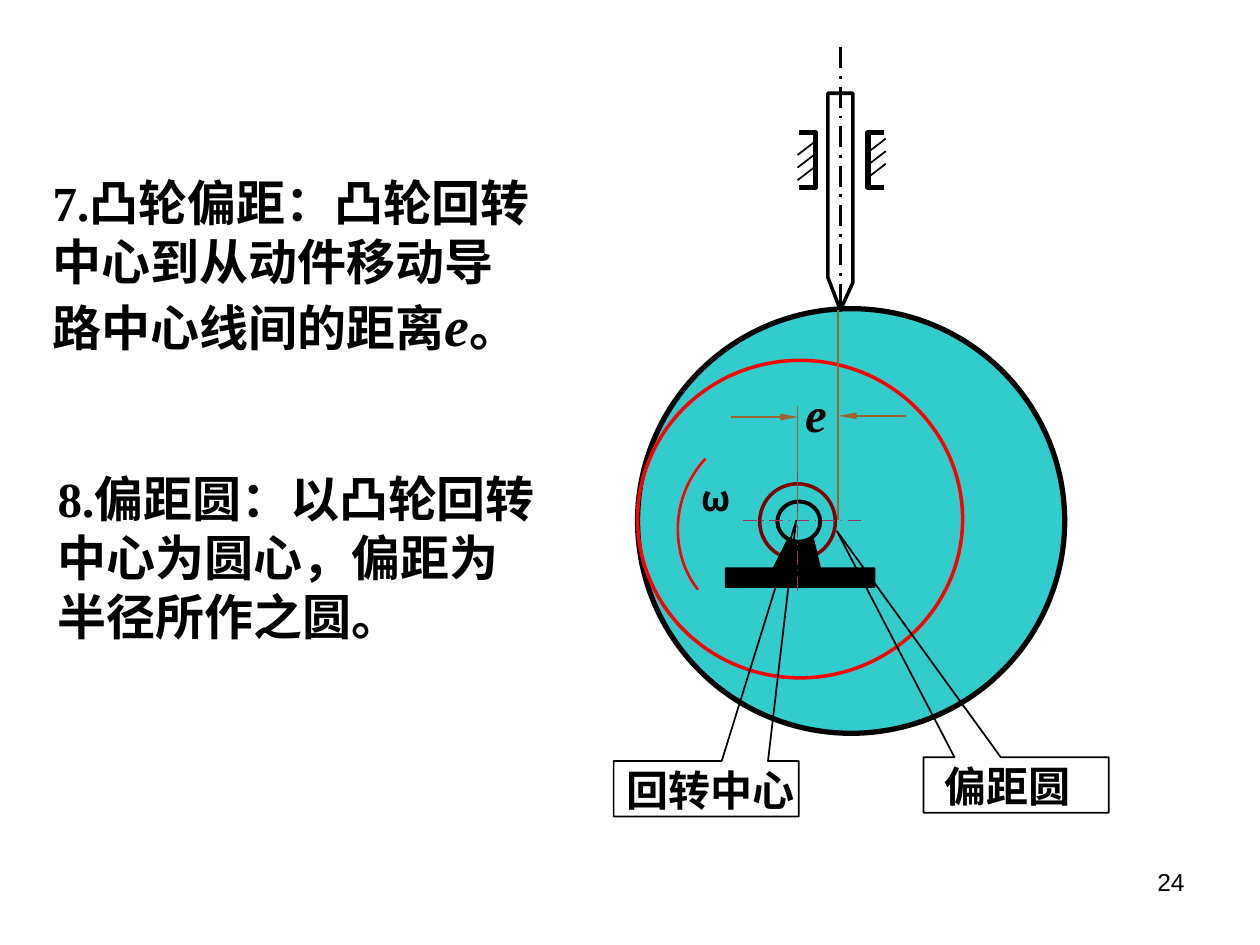
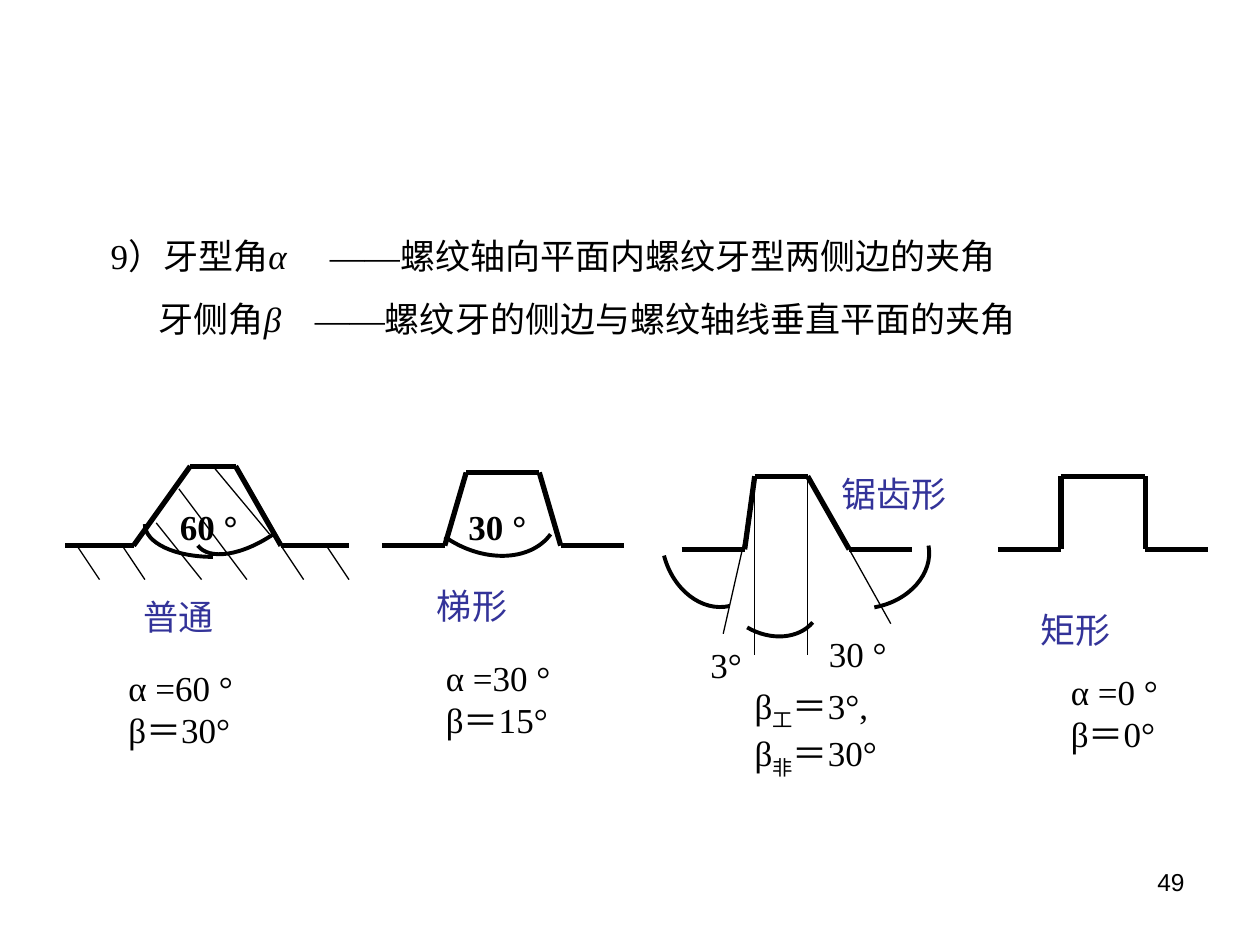
import copy
import dataclasses
import itertools

import lxml.etree
import pptx
import pptx.dml.color
import pptx.enum.dml
import pptx.enum.shapes
import pptx.enum.text
import pptx.oxml.ns
import pptx.util

Inches = pptx.util.Inches
Pt = pptx.util.Pt
Shape = pptx.enum.shapes.MSO_SHAPE
Align = pptx.enum.text.PP_ALIGN
qn = pptx.oxml.ns.qn


@dataclasses.dataclass(frozen=True)
class Theme:
    ink: str = "000000"
    white: str = "FFFFFF"
    cam: str = "33CCCC"
    red: str = "FF0000"
    maroon: str = "800000"
    dimension: str = "996633"
    axis: str = "993366"
    caption: str = "333399"
    serif: str = "Times New Roman"
    sans: str = "Arial"
    chinese: str = "Noto Sans CJK SC"
    body: int = 20
    label: int = 24
    heading: int = 28
    symbol: int = 32
    footer: int = 14
    hairline: float = 0.75
    thin: float = 1
    medium: float = 2
    arc: float = 2.25
    thick: float = 3


class Drawing:
    def __init__(self, deck, theme):
        self.deck = deck
        self.theme = theme
        self.page = None

    def new_page(self, number):
        self.page = self.deck.slides.add_slide(self.deck.slide_layouts[6])
        self.text(7.17, 6.83, 2.33, 0.52, number, size=self.theme.footer,
                  font=self.theme.sans, align=Align.RIGHT)

    def color(self, value):
        return pptx.dml.color.RGBColor.from_string(value)

    def style_line(self, line, color, width, dashed=False):
        line.color.rgb = self.color(color)
        line.width = Pt(width)
        if dashed:
            line.dash_style = pptx.enum.dml.MSO_LINE.LONG_DASH_DOT

    def style_shape(self, shape, fill, color, width):
        shape.shadow.inherit = False
        if fill:
            shape.fill.solid()
            shape.fill.fore_color.rgb = self.color(fill)
        else:
            shape.fill.background()
        self.style_line(shape.line, color, width)

    def format_run(self, span, size, font, color, bold, italic=False, baseline=0):
        span.font.size = Pt(size)
        span.font.name = font
        span.font.bold = bold
        span.font.italic = italic
        span.font.color.rgb = self.color(color)
        properties = span.font._element
        east_asian = lxml.etree.Element(qn("a:ea"), typeface=self.theme.chinese)
        properties.find(qn("a:latin")).addnext(east_asian)
        if baseline:
            properties.set("baseline", str(baseline))

    def text(self, left, top, width, height, *paras, size=None, font=None,
             color=None, bold=False, align=Align.LEFT, inset=True,
             italic=False, tabs=(), line_spacing=None, gap=0):
        box = self.page.shapes.add_textbox(
            Inches(left), Inches(top), Inches(width), Inches(height))
        frame = box.text_frame
        frame.word_wrap = inset
        if not inset:
            frame.auto_size = pptx.enum.text.MSO_AUTO_SIZE.SHAPE_TO_FIT_TEXT
            frame.margin_left = frame.margin_right = 0
            frame.margin_top = frame.margin_bottom = 0
        base = dict(size=size or self.theme.body, font=font or self.theme.serif,
                    color=color or self.theme.ink, bold=bold, italic=italic)
        for index, spans in enumerate(paras):
            para = frame.add_paragraph() if index else frame.paragraphs[0]
            para.alignment = align
            if tabs:
                stops = lxml.etree.SubElement(
                    para._p.get_or_add_pPr(), qn("a:tabLst"))
                for stop in tabs[index]:
                    lxml.etree.SubElement(stops, qn("a:tab"),
                                          pos=str(Inches(stop)), algn="l")
            if line_spacing:
                para.line_spacing = line_spacing
            if index and gap:
                para.space_before = Pt(gap)
            if isinstance(spans, str):
                spans = [(spans, {})]
            for words, changes in spans:
                span = para.add_run()
                span.text = words
                self.format_run(span, **{**base, **changes})

    def line(self, start, end, color=None, width=None, dashed=False, arrow=False):
        connector = self.page.shapes.add_connector(
            pptx.enum.shapes.MSO_CONNECTOR.STRAIGHT,
            *map(Inches, (*start, *end)))
        self.style_line(connector.line, color or self.theme.ink,
                        width or self.theme.thin, dashed)
        if arrow:
            lxml.etree.SubElement(connector.line._get_or_add_ln(), qn("a:tailEnd"),
                                  type="triangle", w="sm", len="lg")
        lxml.etree.SubElement(connector._element.spPr, qn("a:effectLst"))

    def chain(self, *points):
        for start, end in itertools.pairwise(points):
            self.line(start, end, width=self.theme.thick)

    def hatch(self, *strokes):
        for x1, y1, x2, y2 in strokes:
            self.line((x1, y1), (x2, y2), width=self.theme.hairline)

    def shape(self, kind, left, top, width, height, fill=None, color=None,
              weight=None):
        shape = self.page.shapes.add_shape(
            kind, Inches(left), Inches(top), Inches(width), Inches(height))
        self.style_shape(shape, fill, color or self.theme.ink,
                         weight or self.theme.thin)
        return shape

    def outline(self, points, closed=False, fill=None, color=None, weight=None):
        corners = [(Inches(x), Inches(y)) for x, y in points]
        builder = self.page.shapes.build_freeform(*corners[0])
        builder.add_line_segments(corners[1:], close=closed)
        shape = builder.convert_to_shape()
        self.style_shape(shape, fill, color or self.theme.ink,
                         weight or self.theme.thin)
        return shape

    def arc(self, *points, color=None, weight=None):
        shape = self.outline(points, True, color=color,
                             weight=weight or self.theme.arc)
        sector = next(shape._element.iter(qn("a:path")))
        segments = sector.findall(qn("a:lnTo"))
        for first in range(0, len(segments) - 1, 3):
            bend = lxml.etree.Element(qn("a:cubicBezTo"))
            segments[first].addprevious(bend)
            for segment in segments[first:first + 3]:
                bend.append(segment[0])
                sector.remove(segment)
        stroke = copy.deepcopy(sector)
        for tag in ("a:lnTo", "a:close"):
            stroke.remove(stroke.find(qn(tag)))
        stroke.set("fill", "none")
        sector.set("stroke", "0")
        sector.addprevious(stroke)

    def callout(self, left, top, words, text_left, text_width, pointer):
        self.text(text_left, top - 0.02, text_width, 0.5, words,
                  size=self.theme.label, bold=True)
        wedge = self.shape(Shape.RECTANGULAR_CALLOUT, left, top, 1.47, 0.44)
        wedge.rotation = 180
        wedge.adjustments[0], wedge.adjustments[1] = pointer


def draw_cam(drawing):
    theme = drawing.theme
    drawing.new_page("24")
    drawing.text(0.32, 1.32, 4.01, 1.57, [
        ("7.凸轮偏距：凸轮回转中心到从动件移动导路中心线间的距离", {}),
        ("e", {"size": theme.symbol, "italic": True}),
        ("。", {})], size=theme.heading, bold=True)
    drawing.text(0.36, 3.67, 4.02, 1.5,
                 "8.偏距圆：以凸轮回转中心为圆心，偏距为半径所作之圆。",
                 size=theme.heading, bold=True)

    drawing.shape(Shape.OVAL, 5.06, 2.45, 3.39, 3.37, theme.cam, weight=theme.thick)
    drawing.outline([(6.67, 2.46), (6.57, 2.2), (6.57, 0.74), (6.77, 0.74),
                     (6.77, 2.24)], True, theme.white, weight=theme.medium)
    drawing.shape(Shape.OVAL, 5.06, 2.86, 2.58, 2.52, color=theme.red,
                  weight=theme.medium)
    drawing.shape(Shape.OVAL, 6.03, 3.84, 0.6, 0.6, color=theme.maroon,
                  weight=theme.medium)
    drawing.shape(Shape.OVAL, 6.17, 3.98, 0.34, 0.32, weight=theme.arc)
    drawing.outline([(6.51, 4.51), (6.94, 4.51), (6.94, 4.66), (5.76, 4.66),
                     (5.76, 4.51), (6.14, 4.51), (6.25, 4.29), (6.37, 4.3),
                     (6.45, 4.26)], True, theme.ink)

    drawing.line((6.65, 2.46), (6.65, 4.13), theme.dimension)
    drawing.arc((5.54, 4.68), (5.43, 4.54), (5.38, 4.37), (5.38, 4.2),
                (5.38, 3.99), (5.46, 3.79), (5.6, 3.64), (6.14, 4.2),
                color=theme.red, weight=1.5)
    drawing.text(5.57, 3.78, 0.17, 0.33, "ω", font=theme.chinese, bold=True,
                 align=Align.CENTER, inset=False)
    drawing.line((6.33, 4.13), (6.33, 3.22), theme.dimension)
    drawing.line((5.8, 3.31), (6.33, 3.31), theme.dimension, arrow=True)
    drawing.line((7.19, 3.3), (6.66, 3.3), theme.dimension, arrow=True)
    drawing.text(6.39, 3.04, 0.17, 0.47, "e", size=theme.heading, bold=True,
                 italic=True, align=Align.CENTER, inset=False)

    for wall, opening, hatch_left, first in ((6.89, 7.02, 6.9, 1.2),
                                             (6.47, 6.34, 6.33, 1.23)):
        drawing.outline([(opening, 1.05), (wall, 1.05), (wall, 1.49),
                         (opening, 1.49)], weight=theme.thick)
        for row in range(3):
            bottom = first + row * 0.1
            drawing.line((hatch_left, bottom), (hatch_left + 0.13, bottom - 0.1))

    drawing.line((5.9, 4.13), (6.84, 4.13), theme.axis, dashed=True)
    drawing.line((6.33, 3.75), (6.33, 4.72), theme.axis, dashed=True)
    drawing.callout(4.87, 6.04, "回转中心", 4.87, 1.69, (-0.485, 4.828))
    drawing.callout(7.33, 6.01, "偏距圆", 7.4, 1.37, (0.968, 4.578))
    drawing.line((6.67, 2.42), (6.67, 0.33), width=1.5, dashed=True)


def draw_threads(drawing):
    theme = drawing.theme
    drawing.new_page("49")
    italic = {"italic": True}
    drawing.text(0.78, 1.71, 8.11, 1.04,
                 [("9）牙型角", {}), ("α", italic),
                  ("\t——螺纹轴向平面内螺纹牙型两侧边的夹角", {})],
                 [("\t牙侧角", {}), ("β", italic),
                  ("\t——螺纹牙的侧边与螺纹轴线垂直平面的夹角", {})],
                 tabs=((1.74,), (0.38, 1.62)), line_spacing=1.3, gap=5)

    drawing.chain((0.52, 4.33), (1.06, 4.33), (1.51, 3.7), (1.87, 3.7),
                  (2.23, 4.33), (2.77, 4.33))
    drawing.chain((3.03, 4.33), (3.53, 4.33), (3.7, 3.75), (4.28, 3.75),
                  (4.45, 4.33), (4.95, 4.33))
    drawing.chain((5.41, 4.36), (5.91, 4.36), (5.99, 3.78), (6.41, 3.78),
                  (6.74, 4.36), (7.24, 4.36))
    drawing.chain((7.92, 4.36), (8.42, 4.36), (8.42, 3.78), (9.09, 3.78),
                  (9.09, 4.36), (9.59, 4.36))

    drawing.hatch(*((x, 4.33, x + 0.18, 4.6) for x in (0.61, 0.97, 2.23, 2.59)),
                  (1.24, 4.15, 1.6, 4.6), (1.42, 3.88, 1.96, 4.6),
                  (1.69, 3.7, 2.14, 4.24))
    drawing.hatch((5.91, 4.28, 5.74, 5.03), (6.74, 4.36, 7.07, 4.95),
                  (5.99, 3.78, 5.99, 5.2), (6.41, 3.78, 6.41, 5.2))

    angle_arcs = (
        ((1.69, 4.42), (1.39, 4.42), (1.15, 4.31), (1.15, 4.16), (1.69, 4.15)),
        ((2.17, 4.24), (1.92, 4.41), (1.66, 4.45), (1.57, 4.33), (2.01, 4.02)),
        ((3.53, 4.26), (3.83, 4.47), (4.21, 4.46), (4.37, 4.24), (3.83, 3.85)),
        ((5.27, 4.41), (5.34, 4.68), (5.57, 4.86), (5.79, 4.81), (5.68, 4.32)),
        ((6.94, 4.82), (7.22, 4.77), (7.41, 4.55), (7.37, 4.33), (6.88, 4.4)),
        ((5.93, 4.98), (6.12, 5.09), (6.34, 5.07), (6.45, 4.94), (6.11, 4.69)))
    for points in angle_arcs:
        drawing.arc(*points)

    for left, top, width, words, bold in ((1.33, 3.96, 0.7, "60 °", True),
                                          (3.62, 3.96, 0.7, "30 °", True),
                                          (5.54, 5.06, 0.5, "3°", False),
                                          (6.48, 4.97, 0.7, "30 °", False)):
        drawing.text(left, top, width, 0.44, words, bold=bold)

    for left, top, width, name in ((1.04, 4.68, 0.8, "普通"),
                                   (3.37, 4.59, 0.8, "梯形"),
                                   (6.58, 3.7, 1.1, "锯齿形"),
                                   (8.16, 4.78, 0.8, "矩形")):
        drawing.text(left, top, width, 0.44, name, color=theme.caption)

    for left, top, width, alpha, beta in ((0.92, 5.24, 1.2, "60 °", "30°"),
                                          (3.44, 5.16, 1.2, "30 °", "15°"),
                                          (8.4, 5.27, 1.05, "0 °", "0°")):
        drawing.text(left, top, width, 0.77, f"α ={alpha}", f"β＝{beta}")
    flank_angles = [[("β", {}), (side, {"baseline": -25000}), (value, {})]
                    for side, value in (("工", "＝3°,"), ("非", "＝30°"))]
    drawing.text(5.89, 5.38, 1.35, 0.86, *flank_angles)


def main():
    deck = pptx.Presentation()
    deck.slide_width = Inches(10)
    deck.slide_height = Inches(7.5)
    drawing = Drawing(deck, Theme())
    draw_cam(drawing)
    draw_threads(drawing)
    deck.save("out.pptx")


if __name__ == "__main__":
    main()
